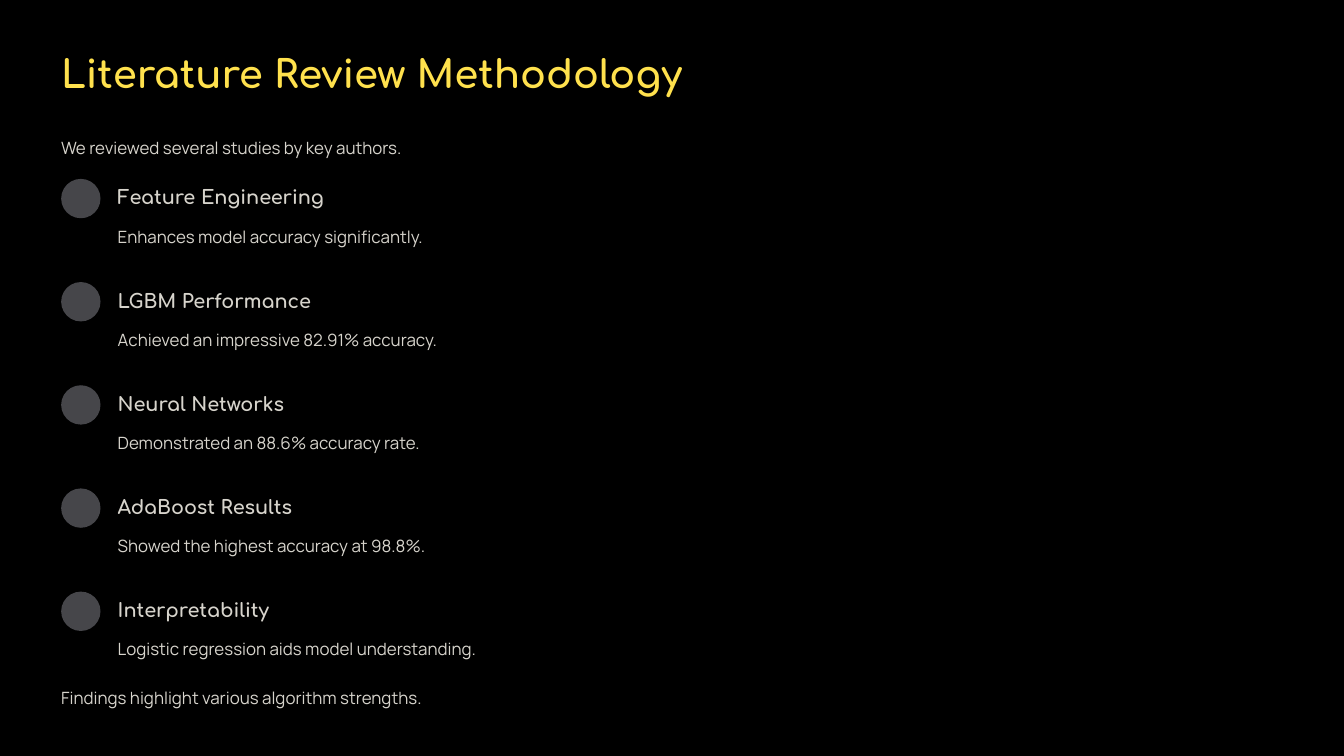
from pptx import Presentation
from pptx.dml.color import RGBColor
from pptx.enum.shapes import MSO_SHAPE
from pptx.util import Cm, Pt

HEADING_FONT = "Comfortaa"
BODY_FONT = "Manrope"
YELLOW = "FFE14D"
LIGHT = "D7D4CC"
GREY = "46464A"
BLACK = "000000"

LEFT = 1.85
ITEM_LEFT = 3.56
FIRST_ITEM_TOP = 5.41
ITEM_STEP = 3.12
MARKER_SIZE = 1.19

# Heading, heading width, description
FINDINGS = [
    ("Feature Engineering", 6.3, "Enhances model accuracy significantly."),
    ("LGBM Performance", 5.89, "Achieved an impressive 82.91% accuracy."),
    ("Neural Networks", 5.87, "Demonstrated an 88.6% accuracy rate."),
    ("AdaBoost Results", 5.87, "Showed the highest accuracy at 98.8%."),
    ("Interpretability", 5.87, "Logistic regression aids model understanding."),
]


def paint(fill, color):
    fill.solid()
    fill.fore_color.rgb = RGBColor.from_string(color)


def add_text(page, text, left, top, width, height, font, size, spacing, color=LIGHT):
    box = page.shapes.add_textbox(Cm(left), Cm(top), Cm(width), Cm(height))
    frame = box.text_frame
    frame.margin_left = frame.margin_right = 0
    frame.margin_top = frame.margin_bottom = 0
    frame.word_wrap = False
    frame.text = text
    para = frame.paragraphs[0]
    para.line_spacing = Pt(spacing)
    span = para.runs[0]
    span.font.name = font
    span.font.size = Pt(size)
    span.font.bold = font == HEADING_FONT
    span.font.color.rgb = RGBColor.from_string(color)


def add_body(page, text, left, top, width):
    add_text(page, text, left, top, width, 0.84, BODY_FONT, 14.5, 23.5)


def add_marker(page, left, top):
    marker = page.shapes.add_shape(
        MSO_SHAPE.ROUNDED_RECTANGLE, Cm(left), Cm(top), Cm(MARKER_SIZE), Cm(MARKER_SIZE)
    )
    marker.adjustments[0] = 0.67
    marker.shadow.inherit = False
    paint(marker.fill, GREY)
    marker.line.fill.background()


def add_finding(page, top, heading, heading_width, description):
    add_marker(page, LEFT, top)
    add_text(page, heading, ITEM_LEFT, top + 0.18, heading_width, 0.74,
             HEADING_FONT, 16.5, 20.5)
    add_body(page, description, ITEM_LEFT, top + 1.22, 35.23)


def main():
    deck = Presentation()
    deck.slide_width = Cm(40.64)
    deck.slide_height = Cm(22.86)
    page = deck.slides.add_slide(deck.slide_layouts[6])
    paint(page.background.fill, BLACK)

    # Title and introduction
    add_text(page, "Literature Review Methodology", LEFT, 1.45, 18.9, 1.47,
             HEADING_FONT, 33, 41.5, YELLOW)
    add_body(page, "We reviewed several studies by key authors.", LEFT, 3.96, 36.96)

    # Findings
    for index, finding in enumerate(FINDINGS):
        add_finding(page, FIRST_ITEM_TOP + index * ITEM_STEP, *finding)

    # Conclusion
    add_body(page, "Findings highlight various algorithm strengths.", LEFT, 20.57, 36.96)

    deck.save("out.pptx")


if __name__ == "__main__":
    main()
